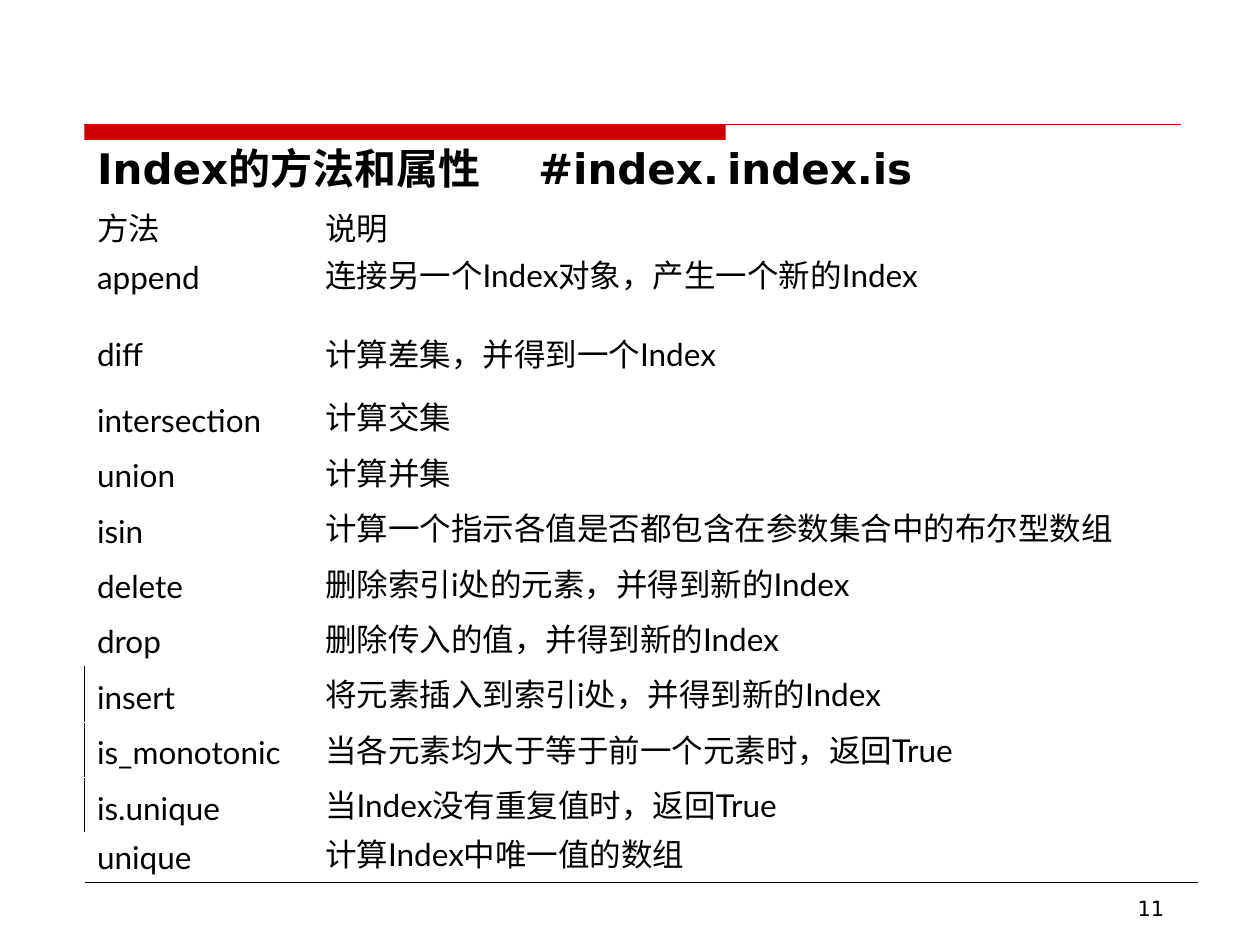
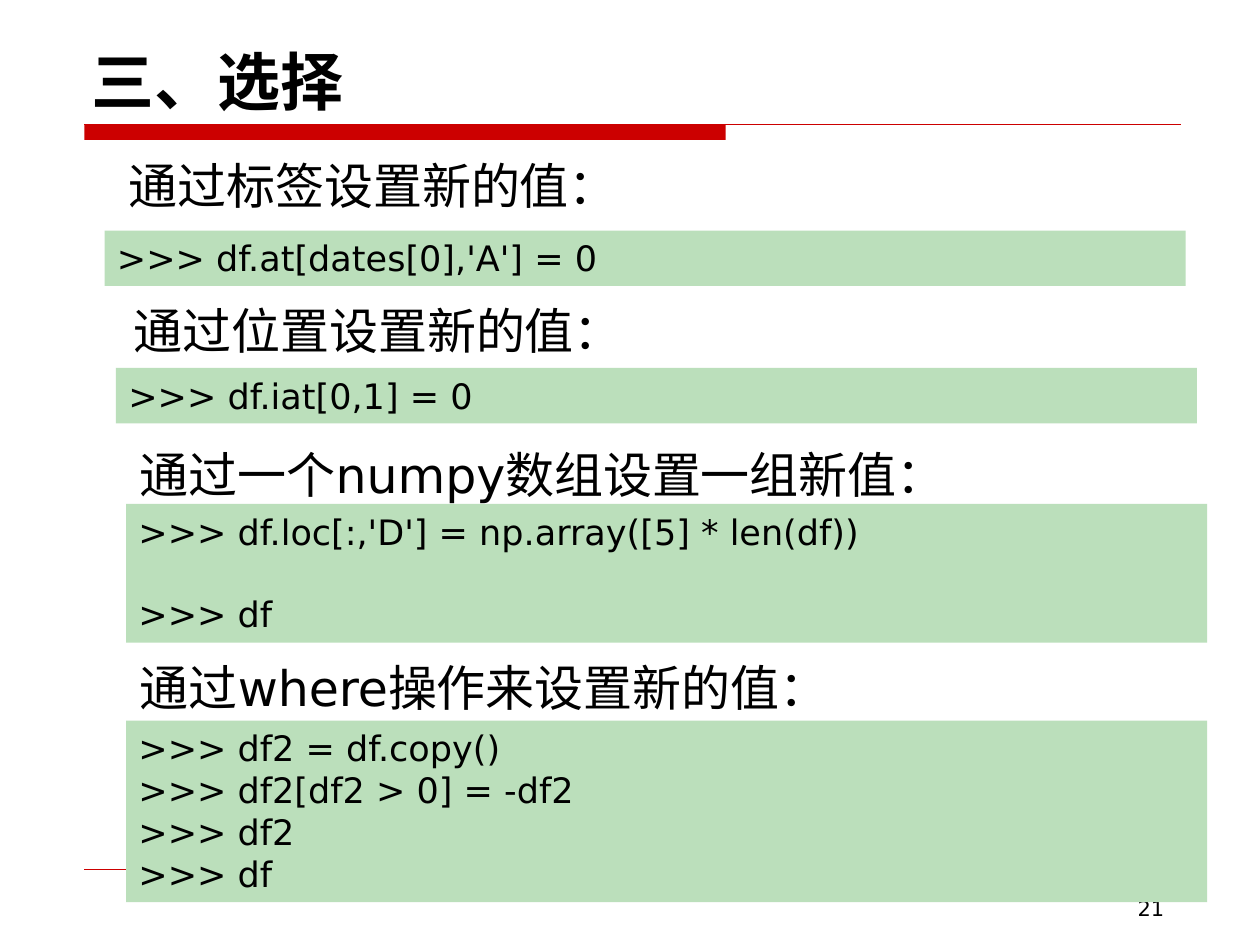
from dataclasses import dataclass
from itertools import groupby

from lxml import etree
from pptx import Presentation
from pptx.dml.color import RGBColor
from pptx.enum.shapes import MSO_CONNECTOR, MSO_SHAPE
from pptx.enum.text import MSO_ANCHOR, MSO_AUTO_SIZE, PP_ALIGN
from pptx.oxml.ns import qn
from pptx.util import Emu, Pt

EMU_PER_PX = 9144  # 100 px to the inch

RECTANGLE = MSO_SHAPE.RECTANGLE
STRAIGHT = MSO_CONNECTOR.STRAIGHT
TOP, BOTTOM = MSO_ANCHOR.TOP, MSO_ANCHOR.BOTTOM
LEFT, RIGHT = PP_ALIGN.LEFT, PP_ALIGN.RIGHT
NO_AUTOFIT = MSO_AUTO_SIZE.NONE

RED, BLACK, WHITE, CODE_GREEN = "CC0000", "000000", "FFFFFF", "BBDFBB"
SANS, LATIN, CHINESE = "DejaVu Sans", "Lato", "Noto Sans CJK TC"

TITLE_ONLY, TITLE_AND_BODY = 5, 1


@dataclass(frozen=True)
class Box:
    left: int
    top: int
    width: int
    height: int


@dataclass(frozen=True)
class Method:
    name: str
    meaning: str
    height: int = 44
    anchor: MSO_ANCHOR = BOTTOM
    margin_bottom: int = 5
    left_rule: bool = False
    bottom_rule: bool = False


@dataclass(frozen=True)
class Heading:
    text: str
    indent: int
    space_before: int


@dataclass(frozen=True)
class CodeBlock:
    left: int
    top: int
    height: int
    lines: tuple[str, ...]
    line_gap: int = 0


TITLE_BOX = Box(63, 33, 875, 66)
METHODS_TITLE_BOX = Box(67, 108, 800, 50)
HEADINGS_BOX = Box(42, 115, 895, 577)
NUMBER_BOX = Box(717, 706, 217, 29)
BAND = Box(67, 99, 509, 12)
TABLE_LEFT, TABLE_TOP = 67, 167
COLUMN_WIDTHS = (181, 702)
CODE_WIDTH = 858

METHODS = (
    Method("方法", "说明", height=36, anchor=TOP),
    Method("append", "连接另一个Index对象，产生一个新的Index", height=63, margin_bottom=31),
    Method("diff", "计算差集，并得到一个Index", anchor=TOP),
    Method("intersection", "计算交集", height=43),
    Method("union", "计算并集"),
    Method("isin", "计算一个指示各值是否都包含在参数集合中的布尔型数组"),
    Method("delete", "删除索引i处的元素，并得到新的Index"),
    Method("drop", "删除传入的值，并得到新的Index"),
    Method("insert", "将元素插入到索引i处，并得到新的Index", left_rule=True),
    Method("is_monotonic", "当各元素均大于等于前一个元素时，返回True", left_rule=True),
    Method("is.unique", "当Index没有重复值时，返回True", left_rule=True),
    Method("unique", "计算Index中唯一值的数组", height=39, bottom_rule=True),
)

HEADINGS = (
    Heading("通过标签设置新的值：", 50, 0),
    Heading("通过位置设置新的值：", 54, 47),
    Heading("通过一个numpy数组设置一组新值：", 59, 46),
    Heading("通过where操作来设置新的值：", 59, 86),
)

CODE_BLOCKS = (
    CodeBlock(83, 183, 44, (">>> df.at[dates[0],'A'] = 0",)),
    CodeBlock(92, 292, 44, (">>> df.iat[0,1] = 0",)),
    CodeBlock(100, 400, 110, (">>> df.loc[:,'D'] = np.array([5] * len(df))", ">>> df"), line_gap=23),
    CodeBlock(100, 572, 144, (">>> df2 = df.copy()", ">>> df2[df2 > 0] = -df2",
                              ">>> df2", ">>> df")),
)


def px(length: int) -> Emu:
    return Emu(length * EMU_PER_PX)


def rgb(color: str) -> RGBColor:
    return RGBColor.from_string(color)


def place(shape, box: Box) -> None:
    shape.left, shape.top = px(box.left), px(box.top)
    shape.width, shape.height = px(box.width), px(box.height)


def write(frame, text: str, *, size: int, latin: str = SANS, chinese: str = SANS,
          bold: bool = False, align=LEFT, line_pt: int = 0, space_before: int = 0,
          indent: int = 0, tabs: tuple[int, ...] = ()) -> None:
    """Add one paragraph, with a run for each stretch of Latin or Chinese text."""
    paragraph = frame.paragraphs[-1]
    if paragraph.runs:
        paragraph = frame.add_paragraph()
    paragraph.alignment = align
    paragraph.space_before = Pt(space_before)
    if line_pt:
        paragraph.line_spacing = Pt(line_pt)
    properties = paragraph._p.get_or_add_pPr()
    properties.set("marL", str(px(indent)))
    properties.set("indent", "0")
    etree.SubElement(properties, qn("a:buNone"))
    if tabs:
        stops = etree.SubElement(properties, qn("a:tabLst"))
        for tab in tabs:
            etree.SubElement(stops, qn("a:tab"), pos=str(px(tab)), algn="l")
    for is_latin, letters in groupby(text, key=str.isascii):
        run = paragraph.add_run()
        run.text = "".join(letters)
        run.font.size, run.font.bold = Pt(size), bold
        run.font.color.rgb = rgb(BLACK)
        typeface = latin if is_latin else chinese
        run.font.name = typeface
        etree.SubElement(run._r.get_or_add_rPr(), qn("a:ea"), typeface=typeface)


def prepare_frame(frame, anchor=TOP):
    frame.word_wrap = True
    frame.auto_size = NO_AUTOFIT
    frame.vertical_anchor = anchor
    return frame


def add_block(slide, box: Box, color: str):
    block = slide.shapes.add_shape(RECTANGLE, px(box.left), px(box.top),
                                   px(box.width), px(box.height))
    block.shadow.inherit = False
    block.fill.solid()
    block.fill.fore_color.rgb = rgb(color)
    block.line.fill.background()
    return block


def add_rule(slide, right: int, y: int, weight: float) -> None:
    rule = slide.shapes.add_connector(STRAIGHT, px(BAND.left), px(y), px(right), px(y))
    rule.line.color.rgb = rgb(RED)
    rule.line.width = Pt(weight)
    etree.SubElement(rule._element.spPr, qn("a:effectLst"))


def start_slide(deck, layout: int, number: str, title_box: Box, title_anchor):
    """Add a slide with the shared band, rules and page number; return it and its title frame."""
    slide = deck.slides.add_slide(deck.slide_layouts[layout])
    place(slide.shapes.title, title_box)
    add_block(slide, BAND, RED)
    add_rule(slide, 937, BAND.top, 0.75)
    add_rule(slide, 933, 690, 0.25)
    number_box = slide.shapes.add_textbox(0, 0, 0, 0)
    place(number_box, NUMBER_BOX)
    write(prepare_frame(number_box.text_frame), number, size=12, align=RIGHT)
    return slide, prepare_frame(slide.shapes.title.text_frame, title_anchor)


def add_cell_rule(cell, side: str) -> None:
    rule = etree.Element(qn(f"a:{side}"), w=str(Pt(0.45)))
    fill = etree.SubElement(rule, qn("a:solidFill"))
    etree.SubElement(fill, qn("a:srgbClr"), val=BLACK)
    cell._tc.get_or_add_tcPr().insert(0, rule)


def add_methods_table(slide) -> None:
    height = sum(method.height for method in METHODS)
    table = slide.shapes.add_table(len(METHODS), len(COLUMN_WIDTHS), px(TABLE_LEFT),
                                   px(TABLE_TOP), px(sum(COLUMN_WIDTHS)), px(height)).table
    table.first_row = table.horz_banding = False
    for column, width in zip(table.columns, COLUMN_WIDTHS):
        column.width = px(width)
    for row, method in zip(table.rows, METHODS):
        row.height = px(method.height)
        name_cell, meaning_cell = row.cells
        for cell, text in ((name_cell, method.name), (meaning_cell, method.meaning)):
            cell.fill.solid()
            cell.fill.fore_color.rgb = rgb(WHITE)
            cell.vertical_anchor = method.anchor
            cell.margin_bottom = px(method.margin_bottom)
            write(cell.text_frame, text, size=18, latin=LATIN, chinese=CHINESE,
                  line_pt=18 if text.isascii() else 19)
            if method.bottom_rule:
                add_cell_rule(cell, "lnB")
        if method.left_rule:
            add_cell_rule(name_cell, "lnL")


def build_methods_slide(deck) -> None:
    slide, title = start_slide(deck, TITLE_ONLY, "11", METHODS_TITLE_BOX, TOP)
    write(title, "Index的方法和属性\t#index.\tindex.is", size=24, bold=True, tabs=(336, 535))
    add_methods_table(slide)


def build_selection_slide(deck) -> None:
    slide, title = start_slide(deck, TITLE_AND_BODY, "21", TITLE_BOX, BOTTOM)
    write(title, "三、选择", size=36, bold=True)
    body = slide.placeholders[1]
    place(body, HEADINGS_BOX)
    headings = prepare_frame(body.text_frame)
    for heading in HEADINGS:
        write(headings, heading.text, size=28, line_pt=36,
              indent=heading.indent, space_before=heading.space_before)
    for code in CODE_BLOCKS:
        block = add_block(slide, Box(code.left, code.top, CODE_WIDTH, code.height), CODE_GREEN)
        frame = prepare_frame(block.text_frame)
        for index, line in enumerate(code.lines):
            write(frame, line, size=20, space_before=code.line_gap if index else 0)


def main() -> None:
    deck = Presentation()
    deck.slide_width, deck.slide_height = px(1000), px(750)
    build_methods_slide(deck)
    build_selection_slide(deck)
    deck.save("out.pptx")


if __name__ == "__main__":
    main()
